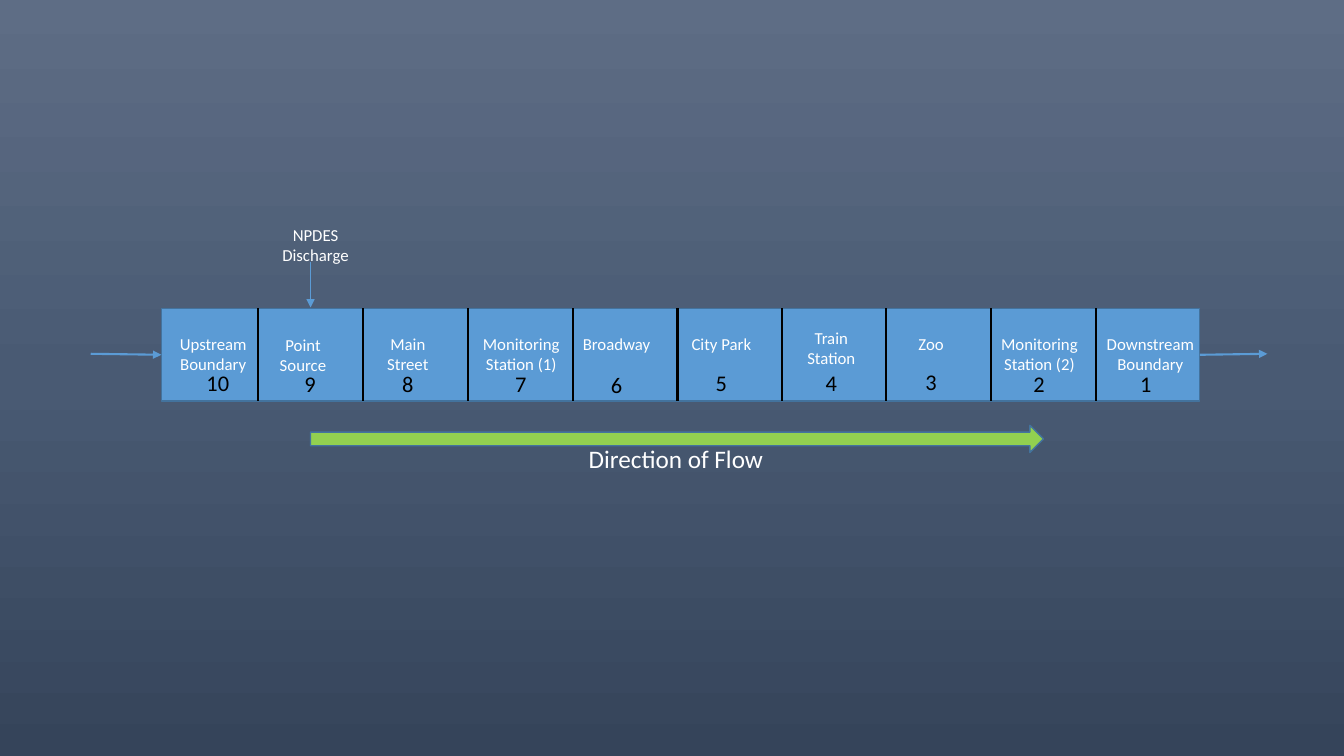
from copy import deepcopy

from pptx import Presentation
from pptx.dml.color import RGBColor
from pptx.enum.shapes import MSO_CONNECTOR, MSO_SHAPE
from pptx.enum.text import MSO_AUTO_SIZE, PP_ALIGN
from pptx.oxml.ns import qn
from pptx.oxml.xmlchemy import OxmlElement
from pptx.util import Pt

PX = 9144
STRAIGHT = MSO_CONNECTOR.STRAIGHT
RECTANGLE, RIGHT_ARROW = MSO_SHAPE.RECTANGLE, MSO_SHAPE.RIGHT_ARROW
CENTER, LEFT = PP_ALIGN.CENTER, PP_ALIGN.LEFT
FIT_SHAPE = MSO_AUTO_SIZE.SHAPE_TO_FIT_TEXT
LEFT_SIDE, RIGHT_SIDE = 1, 3

WHITE, BLACK = "FFFFFF", "000000"
BLUE, DARK_BLUE, GREEN = "5B9BD5", "43739E", "92D050"
BACKGROUND = [(0, "5E6D85"), (0.5, "495A73"), (1, "35445A")]

REACH_TOP, REACH_HEIGHT = 306, 92
REACH_BOTTOM = REACH_TOP + REACH_HEIGHT
FIRST_DIVIDER, SEGMENT_WIDTH = 256, 103.9

# name, (left, top, width, height) of the name, (left, top) of the number
SEGMENTS = [
    ("Upstream\nBoundary", (167, 326, 89, 50), (195, 361)),
    ("Point Source", (256, 327, 89, 50), (292, 362)),
    ("Main Street", (360, 326, 89, 50), (389, 362)),
    ("Monitoring Station (1)", (467, 326, 100, 50), (501, 362)),
    ("Broadway", (567, 326, 89, 30), (596, 363)),
    ("City Park", (671, 326, 89, 30), (700, 361)),
    ("Train Station", (780, 320, 89, 50), (809, 361)),
    ("Zoo", (879, 326, 89, 30), (908, 360)),
    ("Monitoring Station (2)", (981, 326, 100, 50), (1015, 362)),
    ("Downstream\nBoundary", (1087, 326, 108, 50), (1121, 362)),
]


def px(*lengths):
    return [round(length * PX) for length in lengths]


def color(hex_value):
    return RGBColor.from_string(hex_value)


def paint_background(slide):
    fill = slide.background.fill
    fill.gradient()
    fill.gradient_angle = 270
    stop_list = next(slide.element.iter(qn("a:gsLst")))
    stop_list.append(deepcopy(stop_list[0]))
    for stop, (position, hex_value) in zip(fill.gradient_stops, BACKGROUND):
        stop.position = position
        stop.color.rgb = color(hex_value)


def add_block(slide, kind, box, fill):
    block = slide.shapes.add_shape(kind, *px(*box))
    block.shadow.inherit = False
    block.fill.solid()
    block.fill.fore_color.rgb = color(fill)
    block.line.color.rgb = color(DARK_BLUE)
    block.line.width = Pt(1)
    return block


def add_line(slide, start, end, line_color, width=1.5, arrow=False):
    line = slide.shapes.add_connector(STRAIGHT, *px(*start, *end))
    line.line.color.rgb = color(line_color)
    line.line.width = Pt(width)
    if arrow:
        tail = OxmlElement("a:tailEnd")
        tail.set("type", "triangle")
        line.line._get_or_add_ln().append(tail)
    line._element.spPr.append(OxmlElement("a:effectLst"))
    return line


def add_text(slide, text, box, size, text_color=WHITE, align=LEFT, wrap=False):
    text_box = slide.shapes.add_textbox(*px(*box))
    frame = text_box.text_frame
    frame.text = text
    frame.word_wrap = wrap
    frame.auto_size = FIT_SHAPE
    font_format = {"name": "Calibri", "size": Pt(size)}
    for paragraph in frame.paragraphs:
        paragraph.alignment = align
        for run in paragraph.runs:
            for attribute, value in font_format.items():
                setattr(run.font, attribute, value)
            run.font.color.rgb = color(text_color)


def add_label(slide, text, box):
    add_text(slide, text, box, 12, align=CENTER, wrap=True)


def add_reach(slide):
    """Draw the river reach with its dividers and its inflow and outflow."""
    reach = add_block(slide, RECTANGLE,
                      (160, REACH_TOP, 1030, REACH_HEIGHT), BLUE)
    for index in range(len(SEGMENTS) - 1):
        x = round(FIRST_DIVIDER + index * SEGMENT_WIDTH)
        add_line(slide, (x, REACH_TOP), (x, REACH_BOTTOM), BLACK)
    inflow = add_line(slide, (90, 351), (160, 352), BLUE, arrow=True)
    inflow.end_connect(reach, LEFT_SIDE)
    outflow = add_line(slide, (1190, 352), (1257, 351), BLUE, arrow=True)
    outflow.begin_connect(reach, RIGHT_SIDE)


def add_segment_texts(slide):
    for index, (name, name_box, number_place) in enumerate(SEGMENTS):
        number = len(SEGMENTS) - index
        number_width = 43 if number > 9 else 32
        add_label(slide, name, name_box)
        add_text(slide, str(number), (*number_place, number_width, 37),
                 16, BLACK)


def main():
    presentation = Presentation()
    presentation.slide_width, presentation.slide_height = px(1333, 750)
    slide = presentation.slides.add_slide(presentation.slide_layouts[6])
    paint_background(slide)
    add_reach(slide)
    add_segment_texts(slide)
    add_line(slide, (308, 260), (308, 305), BLUE, 0.5, arrow=True)
    add_label(slide, "NPDES Discharge", (266, 218, 94, 50))
    add_block(slide, RIGHT_ARROW, (308, 422, 727, 27), GREEN)
    add_text(slide, "Direction of Flow", (574, 435, 195, 40), 18)
    presentation.save("out.pptx")


if __name__ == "__main__":
    main()
